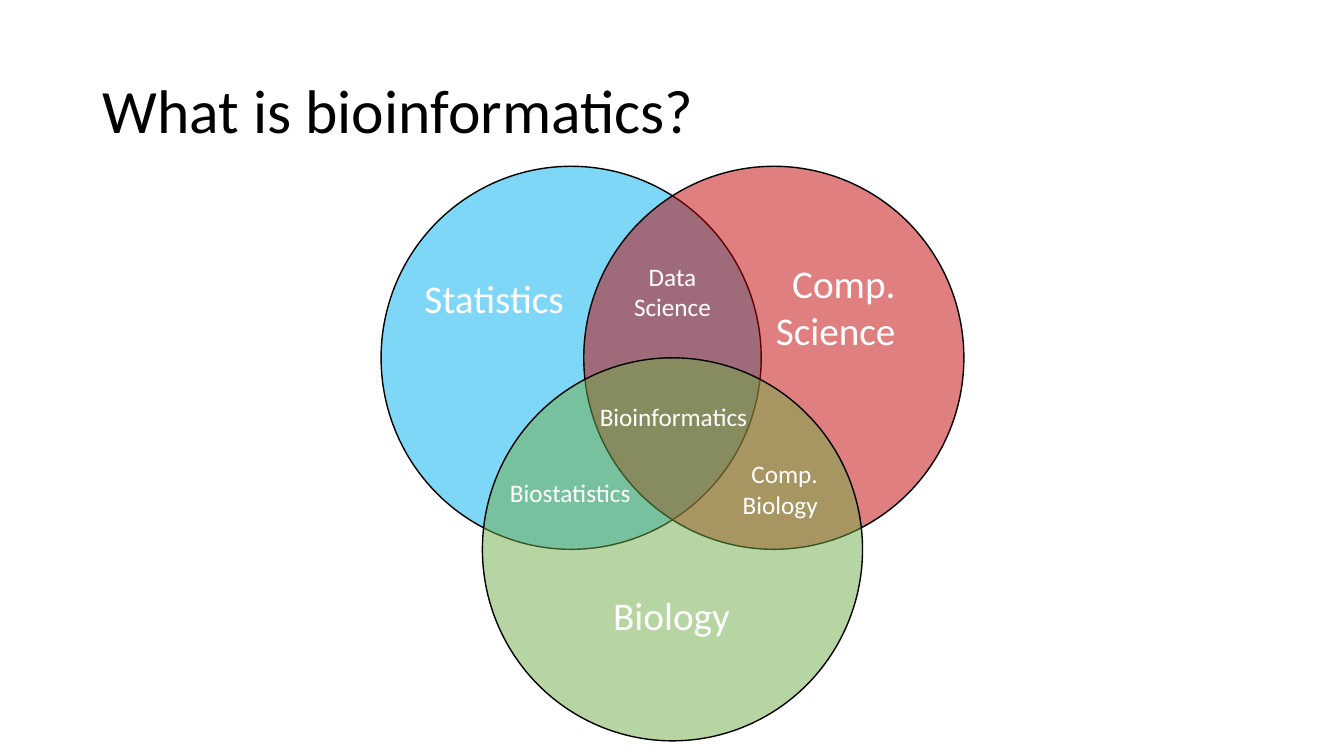
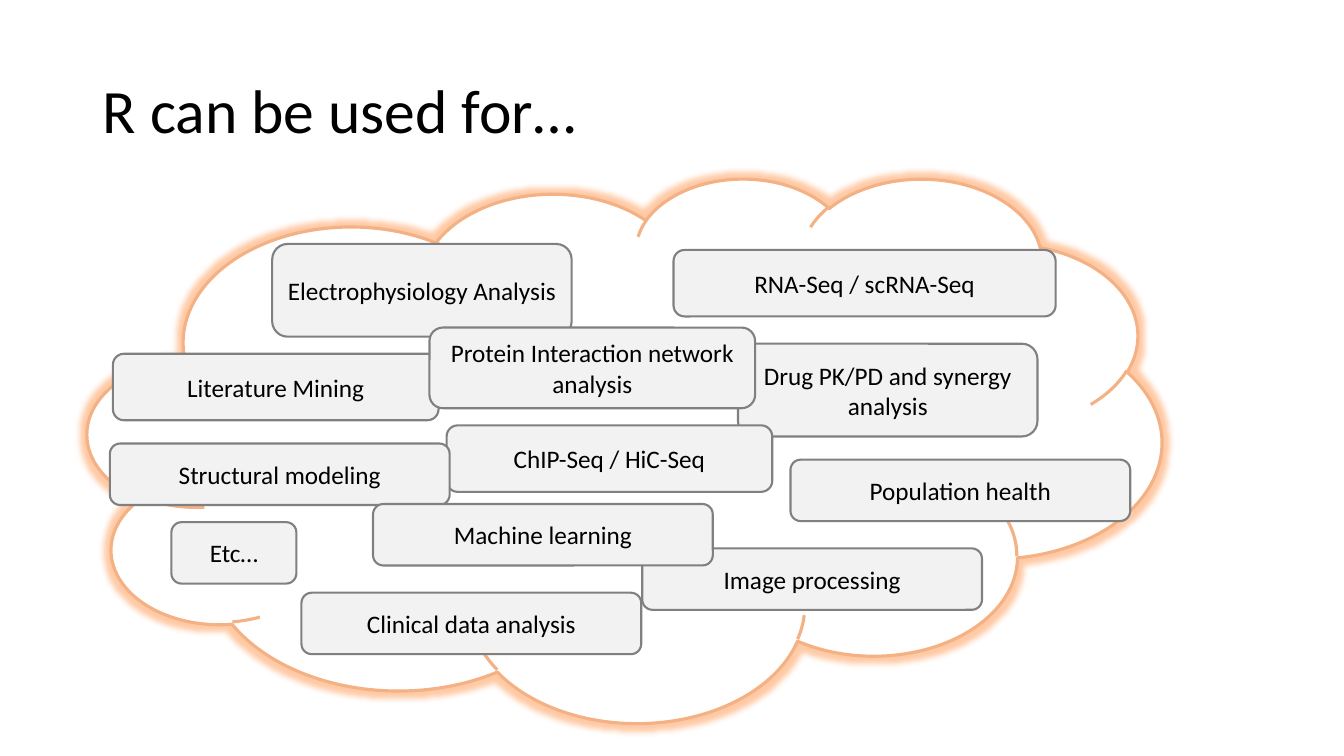
from dataclasses import dataclass

from lxml.etree import SubElement
from pptx import Presentation
from pptx.dml.color import RGBColor
from pptx.enum.shapes import MSO_SHAPE
from pptx.enum.text import MSO_ANCHOR, MSO_AUTO_SIZE, PP_ALIGN
from pptx.oxml.ns import qn
from pptx.util import Emu, Pt


@dataclass(frozen=True)
class Theme:
    font: str = "Calibri"
    black: str = "000000"
    white: str = "FFFFFF"
    statistics: str = "00B0F0"
    computing: str = "C00000"
    biology: str = "70AD47"
    cloud_line: str = "F4B183"
    cloud_glow: str = "FF7A1E"
    box_fill: str = "F2F2F2"
    box_line: str = "808080"
    title_size: int = 44
    field_size: int = 28
    label_size: int = 18


THEME = Theme()
PX = 9144
SLIDE_SIZE = (1333, 750)
TITLE_AREA = (92, 40, 1150, 145)
TITLE_ONLY_LAYOUT = 5

VENN_TITLE = "What is bioinformatics?"
VENN_ORIGIN = (378, 165)
CIRCLE_SIZE = (377, 380)
CIRCLE_STEP = (201, 190)
CIRCLES = [
    (0, 0, THEME.statistics),
    (1, 0, THEME.computing),
    (0.5, 1, THEME.biology),
]
VENN_LABELS = [
    ("Statistics", (411, 267, 188, 57), THEME.field_size, PP_ALIGN.LEFT),
    ("Data Science", (601, 254, 132, 71), THEME.label_size, PP_ALIGN.CENTER),
    ("Comp. Science", (742, 252, 156, 105), THEME.field_size, PP_ALIGN.RIGHT),
    ("Biostatistics", (496, 469, 140, 41), THEME.label_size, PP_ALIGN.LEFT),
    ("Comp. Biology", (681, 450, 140, 71), THEME.label_size, PP_ALIGN.RIGHT),
    ("Bioinformatics", (581, 393, 174, 41), THEME.label_size, PP_ALIGN.CENTER),
    ("Biology", (586, 582, 160, 57), THEME.field_size, PP_ALIGN.CENTER),
]

USES_TITLE = "R can be used for…"
CLOUD_AREA = (87, 176, 1065, 540)
LARGE = (297, 92)
MEDIUM = (323, 66)
SMALL = (337, 61)
USES = [
    ("Electrophysiology Analysis", (270, 242), LARGE),
    ("RNA-Seq / scRNA-Seq", (668, 248), (379, 66)),
    ("Drug PK/PD and synergy analysis", (732, 341), LARGE),
    ("ChIP-Seq / HiC-Seq", (443, 422), MEDIUM),
    ("Structural modeling", (109, 440), SMALL),
    ("Image processing", (637, 544), SMALL),
    ("Clinical data analysis", (299, 588), SMALL),
    ("Population health", (784, 456), SMALL),
    ("Machine learning", (370, 500), SMALL),
    ("Literature Mining", (112, 351), MEDIUM),
    ("Protein Interaction network analysis", (426, 325), (323, 80)),
    ("Etc…", (170, 518), (124, 61)),
]


def to_emu(lengths):
    return [Emu(round(length * PX)) for length in lengths]


def write_text(shape, text, size, color, alignment):
    paragraph = shape.text_frame.paragraphs[0]
    paragraph.alignment = alignment
    run = paragraph.add_run()
    run.text = text
    run.font.name = THEME.font
    run.font.size = Pt(size)
    run.font.color.rgb = RGBColor.from_string(color)
    return paragraph


def add_titled_slide(presentation, text):
    slide = presentation.slides.add_slide(presentation.slide_layouts[TITLE_ONLY_LAYOUT])
    title = slide.shapes.title
    title.left, title.top, title.width, title.height = to_emu(TITLE_AREA)
    title.text_frame.auto_size = MSO_AUTO_SIZE.NONE
    title.text_frame.vertical_anchor = MSO_ANCHOR.MIDDLE
    paragraph = write_text(title, text, THEME.title_size, THEME.black, PP_ALIGN.LEFT)
    paragraph.line_spacing = 0.9
    return slide


def add_outlined_shape(shapes, kind, area, fill, line, line_width):
    shape = shapes.add_shape(kind, *to_emu(area))
    shape.shadow.inherit = False
    shape.fill.solid()
    shape.fill.fore_color.rgb = RGBColor.from_string(fill)
    shape.line.color.rgb = RGBColor.from_string(line)
    shape.line.width = Pt(line_width)
    return shape


def set_opacity(color_element, percent):
    SubElement(color_element, qn("a:alpha"), val=str(percent * 1000))


def add_glow(shape, color, radius, opacity):
    effects = shape.element.spPr.find(qn("a:effectLst"))
    glow = SubElement(effects, qn("a:glow"), rad=str(Pt(radius)))
    set_opacity(SubElement(glow, qn("a:srgbClr"), val=color), opacity)


def build_venn_slide(presentation):
    shapes = add_titled_slide(presentation, VENN_TITLE).shapes.add_group_shape().shapes
    for column, row, color in CIRCLES:
        left = VENN_ORIGIN[0] + column * CIRCLE_STEP[0]
        top = VENN_ORIGIN[1] + row * CIRCLE_STEP[1]
        circle = add_outlined_shape(
            shapes, MSO_SHAPE.OVAL, (left, top, *CIRCLE_SIZE), color, THEME.black, 1
        )
        fill = circle.element.spPr.find(qn("a:solidFill"))
        set_opacity(fill.find(qn("a:srgbClr")), 50)
    for text, area, size, alignment in VENN_LABELS:
        label = shapes.add_textbox(*to_emu(area))
        label.text_frame.word_wrap = True
        label.text_frame.auto_size = MSO_AUTO_SIZE.SHAPE_TO_FIT_TEXT
        write_text(label, text, size, THEME.white, alignment)


def build_uses_slide(presentation):
    shapes = add_titled_slide(presentation, USES_TITLE).shapes.add_group_shape().shapes
    cloud = add_outlined_shape(
        shapes, MSO_SHAPE.CLOUD, CLOUD_AREA, THEME.white, THEME.cloud_line, 2.25
    )
    add_glow(cloud, THEME.cloud_glow, 8, 40)
    for text, position, size in USES:
        box = add_outlined_shape(
            shapes, MSO_SHAPE.ROUNDED_RECTANGLE, (*position, *size),
            THEME.box_fill, THEME.box_line, 1.5,
        )
        box.text_frame.word_wrap = True
        box.text_frame.vertical_anchor = MSO_ANCHOR.MIDDLE
        write_text(box, text, THEME.label_size, THEME.black, PP_ALIGN.CENTER)


def main():
    presentation = Presentation()
    presentation.slide_width, presentation.slide_height = to_emu(SLIDE_SIZE)
    build_venn_slide(presentation)
    build_uses_slide(presentation)
    presentation.save("out.pptx")


if __name__ == "__main__":
    main()
